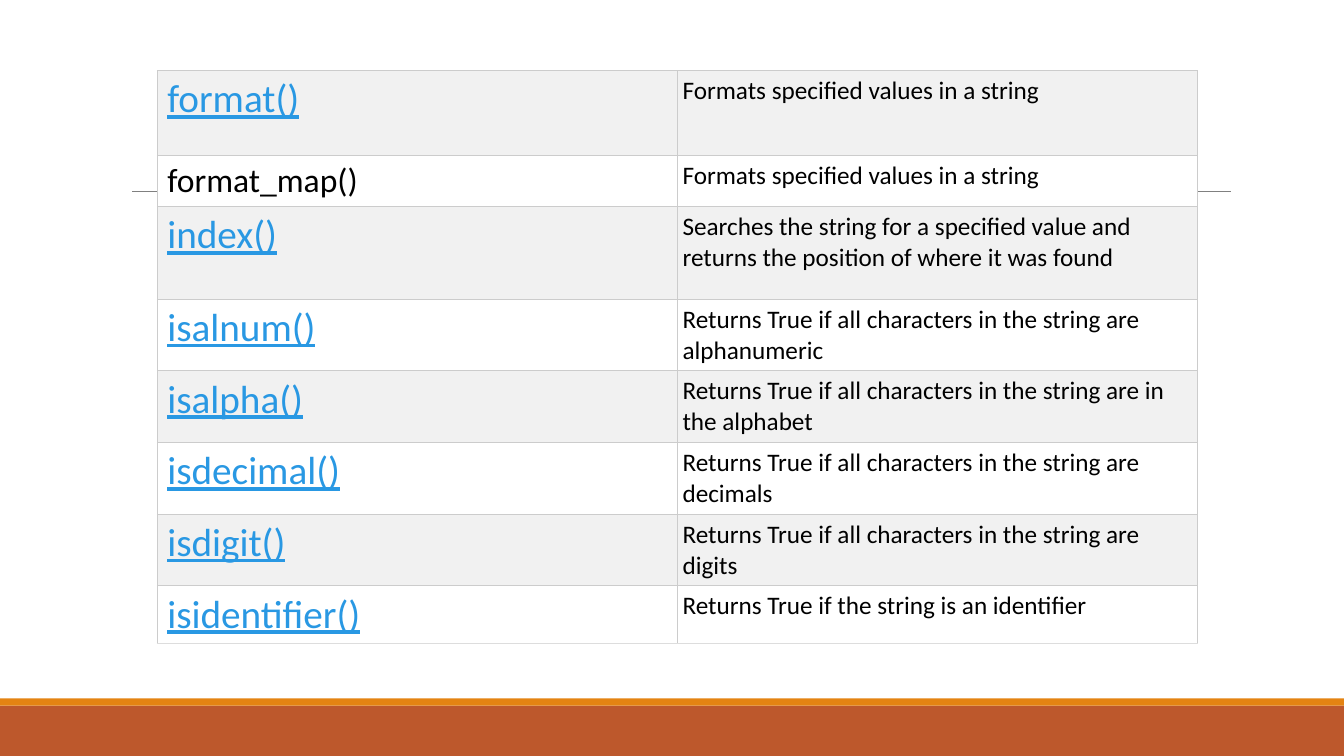
from lxml.etree import SubElement
from pptx import Presentation
from pptx.dml.color import RGBColor
from pptx.enum.shapes import MSO_CONNECTOR as CONNECTOR, MSO_SHAPE as SHAPE
from pptx.oxml.ns import qn
from pptx.util import Inches, Pt

FONT = "Calibri"
RUST = RGBColor(0xBD, 0x58, 0x2C)
ORANGE = RGBColor(0xE4, 0x83, 0x12)
RULE_GRAY = RGBColor(0x80, 0x80, 0x80)
LINK_BLUE = RGBColor(0x29, 0x98, 0xE3)
BLACK = RGBColor(0, 0, 0)
BAND_GRAY = RGBColor(0xF1, 0xF1, 0xF1)
WHITE = RGBColor(0xFF, 0xFF, 0xFF)
BORDER = RGBColor(0xCC, 0xCC, 0xCC)
LAST_BORDER = RGBColor(0xDD, 0xDD, 0xDD)

# Content: method, description, row height
METHODS = [
    ("format()", "Formats specified values in a string", 0.84),
    ("format_map()", "Formats specified values in a string", 0.51),
    ("index()", "Searches the string for a specified value and returns "
                "the position of where it was found", 0.92),
    ("isalnum()", "Returns True if all characters in the string are alphanumeric", 0.71),
    ("isalpha()", "Returns True if all characters in the string are in the alphabet", 0.71),
    ("isdecimal()", "Returns True if all characters in the string are decimals", 0.71),
    ("isdigit()", "Returns True if all characters in the string are digits", 0.71),
    ("isidentifier()", "Returns True if the string is an identifier", 0.51),
]
PLAIN_METHOD = "format_map()"
FOOTER_BANDS = [(7, 0.5, RUST), (6.93, 0.07, ORANGE)]  # top, height, colour
COLUMN_WIDTH = 5.16


def set_borders(cell, bottom):
    """Draw thin lines on all four sides of a cell."""
    sides = {"a:lnL": BORDER, "a:lnR": BORDER, "a:lnT": BORDER, "a:lnB": bottom}
    properties = cell._tc.get_or_add_tcPr()
    for side, color in sides.items():
        line = SubElement(properties, qn(side), w=str(Pt(0.75)))
        fill = SubElement(line, qn("a:solidFill"))
        SubElement(fill, qn("a:srgbClr"), val=str(color))


def fill_cell(cell, text, size, color, underline, left, band, bottom):
    cell.margin_left = Inches(left)
    cell.margin_right = cell.margin_top = cell.margin_bottom = Inches(0.05)
    set_borders(cell, bottom)
    cell.fill.solid()
    cell.fill.fore_color.rgb = band
    cell.text_frame.text = text
    font = cell.text_frame.paragraphs[0].runs[0].font
    font.name, font.size, font.underline = FONT, Pt(size), underline
    font.color.rgb = color


deck = Presentation()
deck.slide_width, deck.slide_height = Inches(13.33), Inches(7.5)
slide = deck.slides.add_slide(deck.slide_layouts[6])

# Footer bands
for top, height, color in FOOTER_BANDS:
    band = slide.shapes.add_shape(
        SHAPE.RECTANGLE, 0, Inches(top), deck.slide_width, Inches(height))
    band.shadow.inherit = False
    band.fill.solid()
    band.fill.fore_color.rgb = color
    band.line.fill.background()

# Rule behind the table
rule = slide.shapes.add_connector(
    CONNECTOR.STRAIGHT, Inches(1.31), Inches(1.9), Inches(12.21), Inches(1.9))
rule.line.color.rgb = RULE_GRAY
rule.line.width = Pt(0.5)
SubElement(rule._element.spPr, qn("a:effectLst"))

# Method table
table = slide.shapes.add_table(
    len(METHODS), 2, Inches(1.56), Inches(0.7), Inches(2 * COLUMN_WIDTH),
    Inches(sum(height for _, _, height in METHODS))).table
table.first_row = table.horz_banding = False
for column in table.columns:
    column.width = Inches(COLUMN_WIDTH)

for index, (method, description, height) in enumerate(METHODS):
    table.rows[index].height = Inches(height)
    row_fill = WHITE if index % 2 else BAND_GRAY
    bottom = LAST_BORDER if index == len(METHODS) - 1 else BORDER
    linked = method != PLAIN_METHOD
    fill_cell(table.cell(index, 0), method, 28 if linked else 24,
              LINK_BLUE if linked else BLACK, linked, 0.1, row_fill, bottom)
    fill_cell(table.cell(index, 1), description, 18, BLACK, False, 0.05,
              row_fill, bottom)

deck.save("out.pptx")
